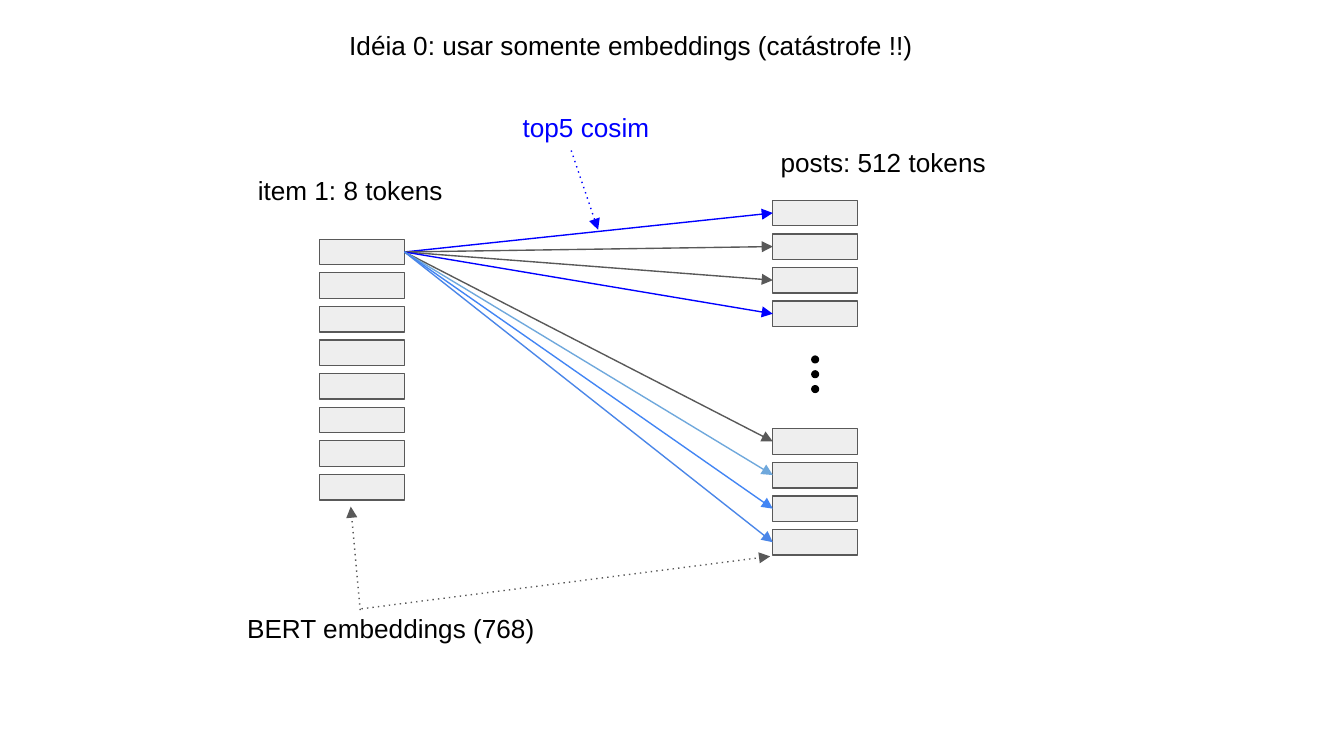
from lxml.etree import SubElement
from pptx import Presentation
from pptx.dml.color import RGBColor
from pptx.enum.shapes import MSO_CONNECTOR, MSO_SHAPE
from pptx.enum.text import MSO_AUTO_SIZE
from pptx.oxml.ns import qn
from pptx.util import Inches, Pt

COLORS = {
    "text": "000000",
    "box": "EEEEEE",
    "gray": "595959",
    "blue": "0000FF",
    "light_blue": "6FA8DC",
    "sky_blue": "4285F4",
    "medium_blue": "4A86E8",
}

# Widescreen slide, 16:9
presentation = Presentation()
presentation.slide_width = Inches(10)
presentation.slide_height = Inches(10) * 9 // 16
slide = presentation.slides.add_slide(presentation.slide_layouts[6])


def add_filled_shape(kind, left, top, width, height, fill, line):
    shape = slide.shapes.add_shape(
        kind, Inches(left), Inches(top), Inches(width), Inches(height))
    shape.shadow.inherit = False
    shape.fill.solid()
    shape.fill.fore_color.rgb = RGBColor.from_string(COLORS[fill])
    shape.line.color.rgb = RGBColor.from_string(COLORS[line])
    shape.line.width = Pt(0.75)
    return shape


def add_arrow(start, end, color, dotted=False):
    arrow = slide.shapes.add_connector(
        MSO_CONNECTOR.STRAIGHT, *[Inches(value) for value in (*start, *end)])
    arrow.line.color.rgb = RGBColor.from_string(COLORS[color])
    arrow.line.width = Pt(0.75)
    properties = arrow._element.spPr
    outline = properties.find(qn("a:ln"))
    if dotted:
        SubElement(outline, qn("a:prstDash"), val="dot")
    SubElement(outline, qn("a:tailEnd"), type="triangle")
    SubElement(properties, qn("a:effectLst"))
    return arrow


# Token boxes: one item column, and posts in two groups
box_width, box_height, box_step = 0.63, 0.19, 0.25
item_boxes, post_boxes = [], []
for boxes, left, first_top, count in [
    (item_boxes, 2.38, 1.78, 8),
    (post_boxes, 5.75, 1.49, 4),
    (post_boxes, 5.75, 3.19, 4),
]:
    for row in range(count):
        boxes.append(add_filled_shape(
            MSO_SHAPE.RECTANGLE, left, first_top + row * box_step,
            box_width, box_height, "box", "gray"))

# Vertical ellipsis between the post groups
for row in range(3):
    add_filled_shape(MSO_SHAPE.OVAL, 6.04, 2.65 + row * 0.11, 0.05, 0.05,
                     "text", "text")

# Similarity arrows from the first item token to every post token
arrow_colors = ["blue", "gray", "gray", "blue",
                "gray", "light_blue", "sky_blue", "medium_blue"]
for post_box, color in zip(post_boxes, arrow_colors):
    arrow = add_arrow((3.01, 1.87), (5.75, 1.87), color)
    arrow.begin_connect(item_boxes[0], 3)
    arrow.end_connect(post_box, 1)

# Dotted pointers from the labels
for start, end, color in [
    ((2.68, 4.54), (2.61, 3.77), "gray"),
    ((2.69, 4.53), (5.73, 4.14), "gray"),
    ((4.25, 1.12), (4.45, 1.71), "blue"),
]:
    add_arrow(start, end, color, dotted=True)

# Labels and title: text, left, top, width, height, vertical inset, wrap, color
for text, left, top, width, height, inset, wrap, color in [
    ("item 1: 8 tokens", 1.82, 1.2, 2.06, 0.44, 0.1, True, "text"),
    ("posts: 512 tokens", 5.71, 0.99, 2.11, 0.44, 0.1, True, "text"),
    ("BERT embeddings (768)", 1.74, 4.46, 2.78, 0.44, 0.1, True, "text"),
    ("top5 cosim", 3.79, 0.73, 1.38, 0.44, 0.1, True, "blue"),
    ("Idéia 0: usar somente embeddings (catástrofe !!)",
     2.5, 0.17, 4.41, 0.34, 0.05, False, "text"),
]:
    label = slide.shapes.add_textbox(
        Inches(left), Inches(top), Inches(width), Inches(height))
    text_frame = label.text_frame
    text_frame.word_wrap = wrap
    text_frame.auto_size = MSO_AUTO_SIZE.SHAPE_TO_FIT_TEXT
    text_frame.margin_left = text_frame.margin_right = Inches(0.1)
    text_frame.margin_top = text_frame.margin_bottom = Inches(inset)
    text_frame.text = text
    font = text_frame.paragraphs[0].runs[0].font
    font.name = "Arial"
    font.size = Pt(14)
    font.color.rgb = RGBColor.from_string(COLORS[color])

presentation.save("out.pptx")
